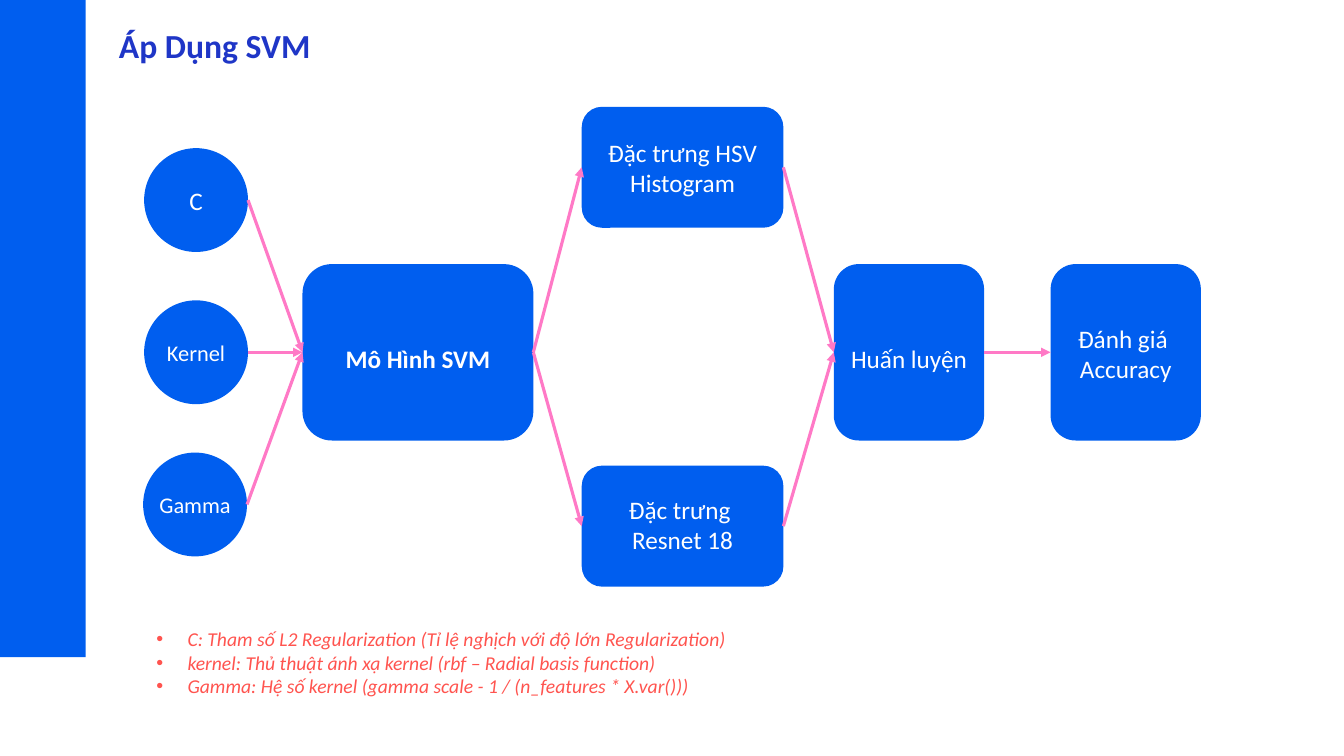
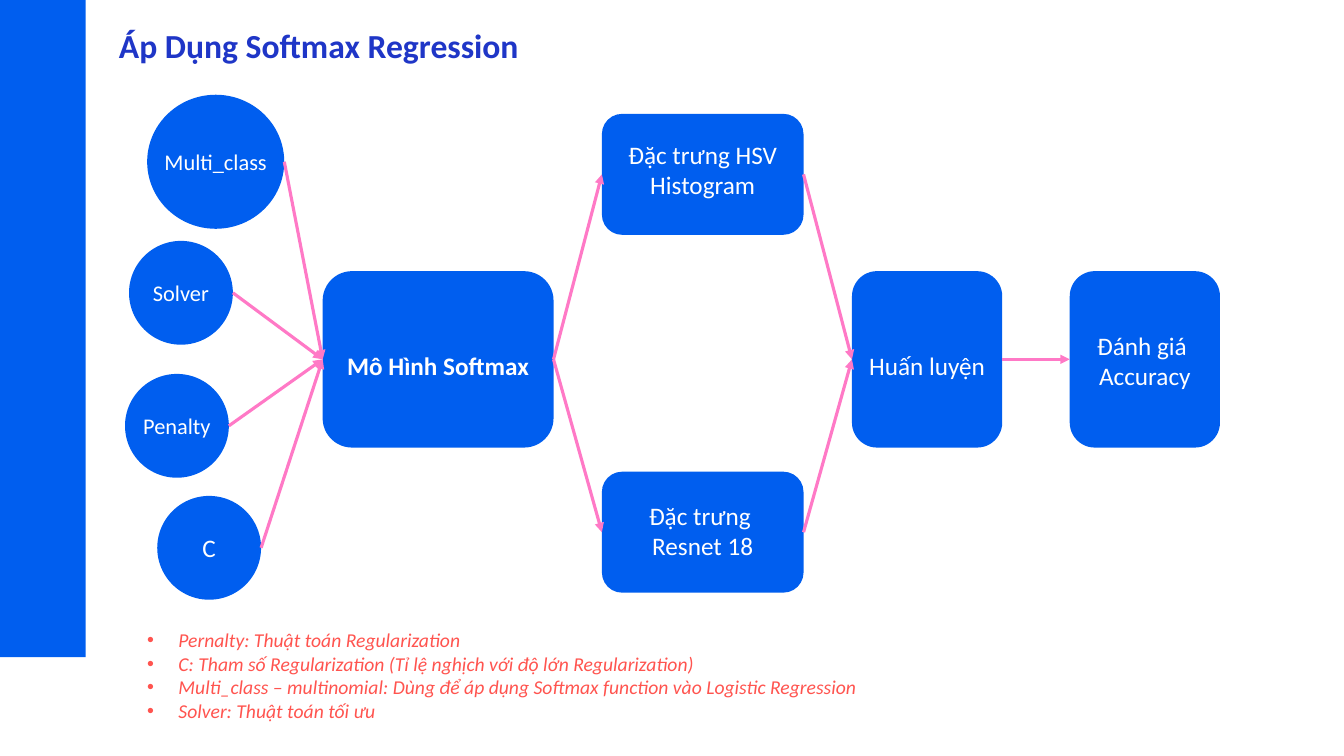
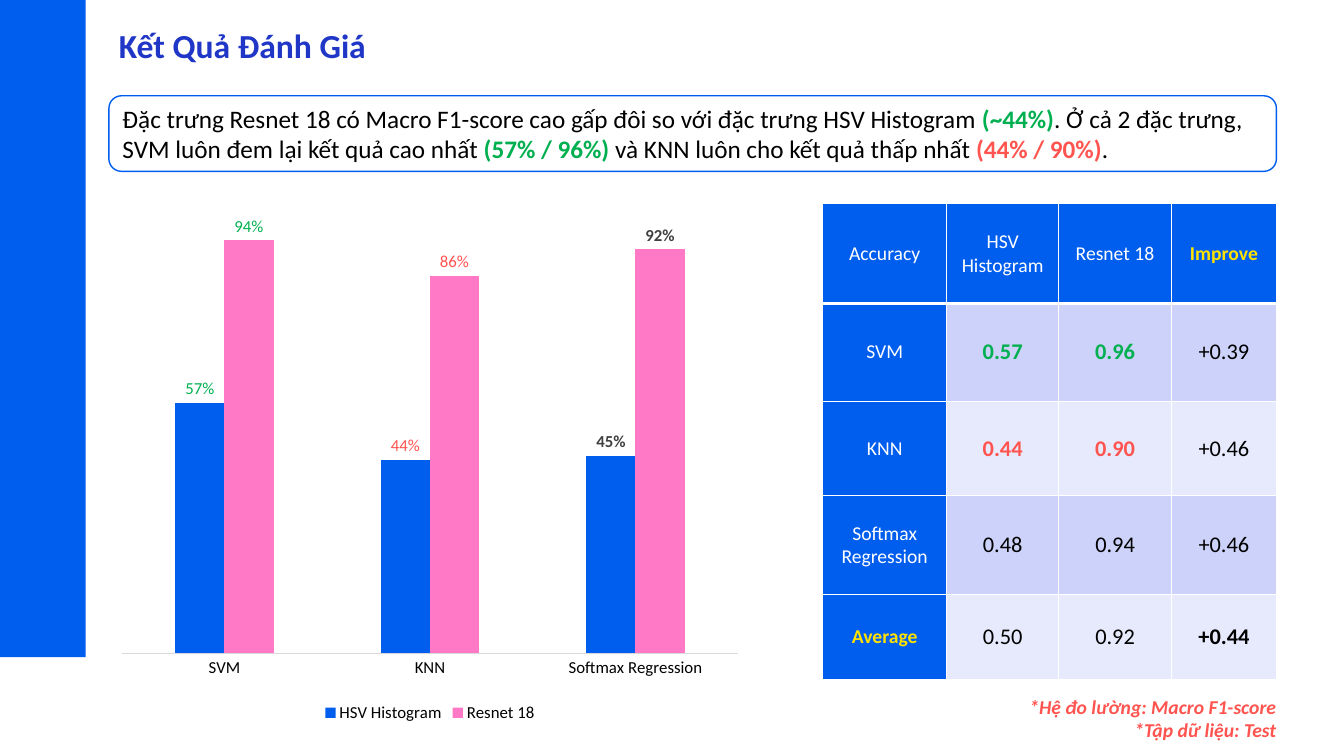
from lxml import etree
from pptx import Presentation
from pptx.chart.data import CategoryChartData
from pptx.dml.color import RGBColor
from pptx.enum.chart import XL_CHART_TYPE, XL_LABEL_POSITION, XL_LEGEND_POSITION, XL_TICK_MARK
from pptx.enum.shapes import MSO_CONNECTOR, MSO_SHAPE
from pptx.enum.text import MSO_ANCHOR, PP_ALIGN
from pptx.oxml import parse_xml
from pptx.oxml.ns import nsdecls, qn
from pptx.util import Pt

RECT, ROUND, OVAL = MSO_SHAPE.RECTANGLE, MSO_SHAPE.ROUNDED_RECTANGLE, MSO_SHAPE.OVAL
STRAIGHT = MSO_CONNECTOR.STRAIGHT
MIDDLE = MSO_ANCHOR.MIDDLE
LEFT, CENTER, RIGHT = PP_ALIGN.LEFT, PP_ALIGN.CENTER, PP_ALIGN.RIGHT
COLUMNS = XL_CHART_TYPE.COLUMN_CLUSTERED
OUTSIDE, BOTTOM = XL_LABEL_POSITION.OUTSIDE_END, XL_LEGEND_POSITION.BOTTOM
NO_TICK = XL_TICK_MARK.NONE

PX = 9144  # 100 px to the inch
FONT = "Calibri"
BLUE, NAVY, PINK, RED, GREEN = "005EEF", "1F36C7", "FF79C6", "FF544F", "00B050"
WHITE, BLACK, YELLOW, GREY, DARK = "FFFFFF", "000000", "FFE200", "D9D9D9", "404040"
BANDS = ("E7EAFC", "CCD2F9")
rgb = RGBColor.from_string


def write(p, runs, size, align=LEFT, italic=False):
    """Add (text, colour, bold) runs to a paragraph."""
    p.alignment = align
    for text, colour, bold in runs:
        r = p.add_run()
        r.text = text
        r.font.name, r.font.size = FONT, Pt(size)
        r.font.bold, r.font.italic = bold, italic
        r.font.color.rgb = rgb(colour)


def add_box(s, kind, x, y, w, h, fill=BLUE):
    """Add a flat shape, or a text box when kind is None."""
    frame = [v * PX for v in (x, y, w, h)]
    if kind is None:
        sp = s.shapes.add_textbox(*frame)
    else:
        sp = s.shapes.add_shape(kind, *frame)
        sp.shadow.inherit = False
        sp.fill.solid()
        sp.fill.fore_color.rgb = rgb(fill)
        sp.line.fill.background()
    tf = sp.text_frame
    tf.word_wrap = True
    tf.margin_left = tf.margin_right = tf.margin_top = tf.margin_bottom = 0
    return sp


prs = Presentation()
prs.slide_width, prs.slide_height = 1333 * PX, 750 * PX

# Shared title and side band
for title in ("Áp Dụng SVM", "Áp Dụng Softmax Regression", "Kết Quả Đánh Giá"):
    s = prs.slides.add_slide(prs.slide_layouts[6])
    sp = add_box(s, None, 118, 25, 459, 42)
    write(sp.text_frame.paragraphs[0], [(title, NAVY, True)], 24)
    add_box(s, RECT, 0, 0, 85, 652)

# Model flows: parameters -> model -> features -> training -> evaluation
flows = [
    dict(
        model="Mô Hình SVM", columns=(300, 577, 827, 1042), rows=(106, 262, 462), hsv_drop=0,
        circles=[("C", 143, 147, 103, 103, 18), ("Kernel", 143, 298, 103, 103, 16),
                 ("Gamma", 142, 449, 103, 103, 16)],
        notes_at=(155, 622),
        notes=["C: Tham số L2 Regularization (Tỉ lệ nghịch với độ lớn Regularization)",
               "kernel: Thủ thuật ánh xạ kernel (rbf – Radial basis function)",
               "Gamma: Hệ số kernel (gamma scale - 1 / (n_features * X.var()))"]),
    dict(
        model="Mô Hình Softmax", columns=(320, 597, 845, 1061), rows=(113, 269, 468), hsv_drop=-5,
        circles=[("Multi_class", 146, 94, 136, 133, 16), ("Solver", 128, 239, 103, 103, 16),
                 ("Penalty", 124, 371, 103, 103, 16), ("C", 156, 492, 103, 103, 18)],
        notes_at=(146, 623),
        notes=["Pernalty: Thuật toán Regularization",
               "C: Tham số Regularization (Tỉ lệ nghịch với độ lớn Regularization)",
               "Multi_class – multinomial: Dùng để áp dụng Softmax function vào Logistic Regression",
               "Solver: Thuật toán tối ưu"]),
]
for s, flow in zip(prs.slides, flows):
    # Boxes; drop moves the label below or above the middle
    x_model, x_feature, x_train, x_score = flow["columns"]
    top, middle, bottom = flow["rows"]
    boxes = []
    for lines, x, y, w, h, drop in (
            ([flow["model"]], x_model, middle, 229, 175, 6),
            (["Đặc trưng HSV Histogram"], x_feature, top, 200, 120, flow["hsv_drop"]),
            (["Đặc trưng ", "Resnet 18"], x_feature, bottom, 200, 120, -2),
            (["Huấn luyện"], x_train, middle, 149, 175, 6),
            (["Đánh giá ", "Accuracy"], x_score, middle, 149, 175, 1)):
        sp = add_box(s, ROUND, x, y, w, h)
        tf = sp.text_frame
        tf.vertical_anchor = MIDDLE
        tf.margin_top, tf.margin_bottom = 2 * max(drop, 0) * PX, 2 * max(-drop, 0) * PX
        for i, line in enumerate(lines):
            p = tf.add_paragraph() if i else tf.paragraphs[0]
            write(p, [(line, WHITE, line == flow["model"])], 18, CENTER)
        boxes.append(sp)
    model, hsv, resnet, train, score = boxes

    # Parameter circles
    links = [(model, hsv), (model, resnet), (hsv, train), (resnet, train), (train, score)]
    for label, x, y, w, h, size in flow["circles"]:
        sp = add_box(s, OVAL, x, y, w, h)
        sp.text_frame.word_wrap = False
        sp.text_frame.vertical_anchor = MIDDLE
        write(sp.text_frame.paragraphs[0], [(label, WHITE, False)], size, CENTER)
        links.append((sp, model))

    # Arrows from right side to left side
    for source, target in links:
        c = s.shapes.add_connector(
            STRAIGHT, source.left + source.width, source.top + source.height // 2,
            target.left, target.top + target.height // 2)
        if source in boxes:
            c.begin_connect(source, 3)
        c.end_connect(target, 1)
        c.line.color.rgb = rgb(PINK)
        c.line.width = Pt(2.25)
        spPr = c.element.spPr
        etree.SubElement(spPr.find(qn("a:ln")), qn("a:tailEnd"), type="triangle")
        etree.SubElement(spPr, qn("a:effectLst"))

    # Bulleted notes
    tf = add_box(s, None, *flow["notes_at"], 1112, 105).text_frame
    for i, note in enumerate(flow["notes"]):
        p = tf.add_paragraph() if i else tf.paragraphs[0]
        pPr = p._p.get_or_add_pPr()
        pPr.set("marL", str(31 * PX))
        pPr.set("indent", str(-31 * PX))
        etree.SubElement(pPr, qn("a:buFont"), typeface="Arial")
        etree.SubElement(pPr, qn("a:buChar"), char="•")
        write(p, [(note, RED, False)], 14, italic=True)

# Results: summary banner
s = prs.slides[2]
sp = add_box(s, ROUND, 108, 95, 1158, 75, WHITE)
sp.line.color.rgb = rgb(BLUE)
sp.line.width = Pt(1)
tf = sp.text_frame
tf.vertical_anchor = MIDDLE
tf.margin_left = tf.margin_right = 10 * PX
tf.margin_top = tf.margin_bottom = 5 * PX
write(tf.paragraphs[0], [
    ("Đặc trưng Resnet 18 có Macro F1-score cao gấp đôi so với đặc trưng HSV Histogram ", BLACK, False),
    ("(~44%)", GREEN, True),
    (". Ở cả 2 đặc trưng, SVM luôn đem lại kết quả cao nhất ", BLACK, False),
    ("(57% / 96%)", GREEN, True),
    (" và KNN luôn cho kết quả thấp nhất ", BLACK, False),
    ("(44% / 90%)", RED, True),
    (".", BLACK, False)], 18)

# Results: table
rows = [("Accuracy", "HSV Histogram", "Resnet 18", "Improve"),
        ("SVM", "0.57", "0.96", "+0.39"),
        ("KNN", "0.44", "0.90", "+0.46"),
        ("Softmax Regression", "0.48", "0.94", "+0.46"),
        ("Average", "0.50", "0.92", "+0.44")]
accents = {(0, 3): YELLOW, (4, 0): YELLOW, (4, 3): BLACK,
           (1, 1): GREEN, (1, 2): GREEN, (2, 1): RED, (2, 2): RED}
table = s.shapes.add_table(5, 4, 816 * PX, 202 * PX, 450 * PX, 472 * PX).table
for column, w in zip(table.columns, (123, 111, 112, 104)):
    column.width = w * PX
for row, h in zip(table.rows, (99, 97, 94, 98, 84)):
    row.height = h * PX
for i, row in enumerate(rows):
    for j, text in enumerate(row):
        cell = table.cell(i, j)
        head = i == 0 or j == 0
        tcPr = cell._tc.get_or_add_tcPr()
        for side in "LRTB":
            thick = (i, side) in ((0, "B"), (1, "T"))
            ln = etree.SubElement(tcPr, qn("a:ln" + side), w=str(Pt(3 if thick else 1)))
            etree.SubElement(etree.SubElement(ln, qn("a:solidFill")), qn("a:srgbClr"), val=WHITE)
        cell.fill.solid()
        cell.fill.fore_color.rgb = rgb(BLUE if head else BANDS[i % 2])
        cell.vertical_anchor = MIDDLE
        colour = accents.get((i, j), WHITE if head else BLACK)
        write(cell.text_frame.paragraphs[0], [(text, colour, (i, j) in accents)],
              14 if head else 16, CENTER)

# Results: column chart
data = CategoryChartData(number_format="0%")
data.categories = ["SVM", "KNN", "Softmax Regression"]
data.add_series("HSV Histogram", (0.57, 0.44, 0.45))
data.add_series("Resnet 18", (0.94, 0.86, 0.92))
chart = s.shapes.add_chart(COLUMNS, 108 * PX, 202 * PX, 637 * PX, 519 * PX, data).chart
chart.has_title = False
chart.font.name, chart.font.size = FONT, Pt(12)
chart.font.color.rgb = rgb(BLACK)
chart.has_legend = True
chart.legend.position = BOTTOM
chart.legend.include_in_layout = False
axis = chart.category_axis
axis.major_tick_mark = NO_TICK
axis.format.line.color.rgb = rgb(GREY)
axis.format.line.width = Pt(0.75)
axis = chart.value_axis
axis.visible = axis.has_major_gridlines = False
axis.minimum_scale, axis.maximum_scale = 0, 1
plot = chart.plots[0]
plot.gap_width, plot.overlap, plot.vary_by_categories = 219, 0, False
for series, colour in zip(plot.series, (BLUE, PINK)):
    series.format.fill.solid()
    series.format.fill.fore_color.rgb = rgb(colour)
    labels = series.data_labels
    labels.show_value = True
    labels.number_format, labels.number_format_is_linked = "0%", False
    labels.position = OUTSIDE
    labels.font.name, labels.font.size, labels.font.bold = FONT, Pt(12), True
    labels.font.color.rgb = rgb(DARK)
    for i, label_colour in enumerate((GREEN, RED)):
        label = series.points[i].data_label
        label.font.name, label.font.size, label.font.bold = FONT, Pt(12), False
        label.font.color.rgb = rgb(label_colour)
        label.position = OUTSIDE

# Fixed plot area inside the chart frame
area = chart.element.find(".//" + qn("c:plotArea"))
for old in area.findall(qn("c:layout")):
    area.remove(old)
area.insert(0, parse_xml(
    f'<c:layout {nsdecls("c")}><c:manualLayout><c:layoutTarget val="inner"/>'
    '<c:xMode val="edge"/><c:yMode val="edge"/><c:x val="0.02"/><c:y val="0.02"/>'
    '<c:w val="0.96"/><c:h val="0.84"/></c:manualLayout></c:layout>'))

# Results: footnotes
tf = add_box(s, None, 885, 689, 381, 49).text_frame
for i, note in enumerate(("*Hệ đo lường: Macro F1-score", "*Tập dữ liệu: Test")):
    p = tf.add_paragraph() if i else tf.paragraphs[0]
    write(p, [(note, RED, True)], 14, RIGHT, italic=True)

prs.save("out.pptx")
